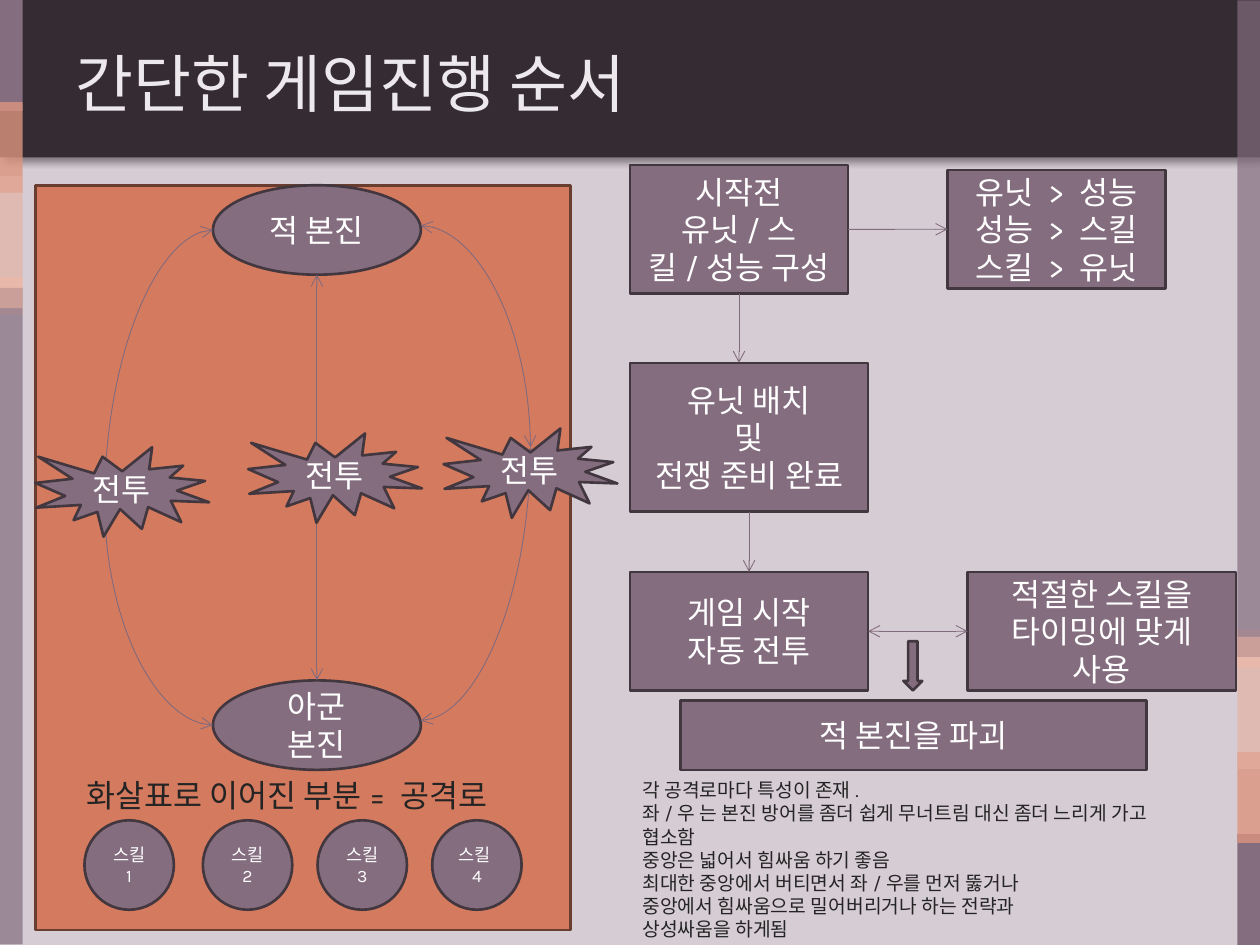
from dataclasses import dataclass

from lxml.etree import SubElement
from pptx import Presentation
from pptx.dml.color import RGBColor
from pptx.enum.shapes import MSO_CONNECTOR, MSO_SHAPE
from pptx.enum.text import MSO_ANCHOR, MSO_AUTO_SIZE, PP_ALIGN
from pptx.oxml.ns import qn
from pptx.util import Inches, Pt


@dataclass(frozen=True)
class Theme:
    ground: str = "D6CCD4"
    band: str = "352B33"
    title: str = "ECE8EC"
    node: str = "846D7F"
    node_edge: str = "42363F"
    board: str = "D47A5E"
    board_edge: str = "693D2F"
    route: str = "826A7D"
    light: str = "FFFFFF"
    ink: str = "242424"
    heading_font: str = "Arial"
    body_font: str = "Karla"
    heading_size: int = 36
    body_size: int = 18
    note_size: int = 11
    skill_size: int = 10


THEME = Theme()


@dataclass(frozen=True)
class Box:
    """An area in inches, divided in percent of its size."""
    left: float
    top: float
    width: float
    height: float

    def point(self, x, y):
        return self.left + self.width * x / 100, self.top + self.height * y / 100

    def share(self, x, y, width, height):
        return Box(*self.point(x, y), self.width * width / 100, self.height * height / 100)

    def emu(self):
        return [Inches(v) for v in (self.left, self.top, self.width, self.height)]


def apply(target, values):
    for name, value in values.items():
        setattr(target, name, value)


def write(holder, lines, size=THEME.body_size, color=THEME.light, font=THEME.body_font,
          align=PP_ALIGN.CENTER, **frame_format):
    frame = holder.text_frame
    apply(frame, {"word_wrap": True, "vertical_anchor": MSO_ANCHOR.MIDDLE, **frame_format})
    frame.text = "\n".join(lines)
    for paragraph in frame.paragraphs:
        paragraph.alignment = align
        apply(paragraph.runs[0].font, {"size": Pt(size), "name": font})
        paragraph.runs[0].font.color.rgb = RGBColor.from_string(color)


def block(slide, box, kind=MSO_SHAPE.RECTANGLE, lines=(), fill=THEME.node,
          edge=THEME.node_edge, size=THEME.body_size, alpha=100):
    shape = slide.shapes.add_shape(kind, *box.emu())
    shape.shadow.inherit = False
    shape.fill.solid()
    shape.fill.fore_color.rgb = RGBColor.from_string(fill)
    if alpha < 100:
        tint = shape._element.spPr.find(qn("a:solidFill"))[0]
        SubElement(tint, qn("a:alpha"), val=str(alpha * 1000))
    if edge:
        shape.line.color.rgb = RGBColor.from_string(edge)
        shape.line.width = Pt(1.5)
    else:
        shape.line.fill.background()
    if lines:
        write(shape, lines, size)
    return shape


def note(slide, box, lines, size):
    text = slide.shapes.add_textbox(*box.emu())
    write(text, lines, size, THEME.ink, align=PP_ALIGN.LEFT,
          vertical_anchor=MSO_ANCHOR.TOP, auto_size=MSO_AUTO_SIZE.SHAPE_TO_FIT_TEXT)


def arrow(slide, start, end, both=False, curved=False):
    kind = MSO_CONNECTOR.CURVE if curved else MSO_CONNECTOR.STRAIGHT
    route = slide.shapes.add_connector(kind, *[Inches(v) for v in (*start, *end)])
    route.line.color.rgb = RGBColor.from_string(THEME.route)
    route.line.width = Pt(0.5)
    properties = route._element.spPr
    if curved:
        properties.find(qn("a:prstGeom")).set("prst", "curvedConnector2")
    line = properties.find(qn("a:ln"))
    for tip in ("a:headEnd", "a:tailEnd") if both else ("a:tailEnd",):
        SubElement(line, qn(tip), type="arrow")
    SubElement(properties, qn("a:effectLst"))


def header(slide, box):
    band = block(slide, box, fill=THEME.band, edge=None)
    effects = band._element.spPr.find(qn("a:effectLst"))
    shadow = SubElement(effects, qn("a:outerShdw"), blurRad=str(Pt(4)), dist=str(Pt(3)),
                        dir="2700000", algn="tl", rotWithShape="0")
    shade = SubElement(shadow, qn("a:srgbClr"), val="000000")
    SubElement(shade, qn("a:alpha"), val="40000")

    title = slide.shapes.title
    apply(title, dict(zip(("left", "top", "width", "height"), box.share(5, 16.8, 90, 70.4).emu())))
    write(title, ["간단한 게임진행 순서"], THEME.heading_size, THEME.title,
          THEME.heading_font, PP_ALIGN.LEFT)
    slide.shapes._spTree.append(title._element)  # bring the title above the band


def side_strip(slide, box, upward=False):
    # top, height, colour, opacity
    stripes = [(29.33, 4, "EECABF", 100), (30.47, 69.47, THEME.node, 70),
               (0, 11.73, THEME.node, 100), (10.8, 9.6, "DC947E", 80),
               (18.6, 14, "E5AF9E", 60)]
    for top, height, color, alpha in stripes:
        start = 100 - top - height if upward else top
        block(slide, box.share(0, start, 100, height), fill=color, edge=None, alpha=alpha)


def game_flow(slide, box):
    steps = {
        "setup": ((0, 0, 35.97, 21.25), ["시작전", "유닛/스킬/성능 구성"]),
        "tuning": ((52.39, 0.83, 35.97, 19.58), ["유닛 > 성능", "성능 > 스킬", "스킬 > 유닛"]),
        "deploy": ((0, 32.71, 39.29, 24.58), ["유닛 배치", "및", "전쟁 준비 완료"]),
        "battle": ((0, 67.29, 39.29, 19.58), ["게임 시작", "자동 전투"]),
        "timing": ((55.72, 67.29, 44.28, 19.58), ["적절한 스킬을", "타이밍에 맞게", "사용"]),
        "goal": ((8.32, 88.54, 76.92, 11.46), ["적 본진을 파괴"]),
    }
    area = {name: box.share(*place) for name, (place, _) in steps.items()}
    for name, (_, lines) in steps.items():
        block(slide, area[name], lines=lines)

    # Downward steps, then sideways links
    for upper, lower in (("setup", "deploy"), ("deploy", "battle")):
        x, y = area[upper].point(50, 100)
        arrow(slide, (x, y), (x, area[lower].top))
    for left, right, both in (("setup", "tuning", False), ("battle", "timing", True)):
        arrow(slide, area[left].point(100, 50), area[right].point(0, 50), both)
    block(slide, box.share(45.11, 78.75, 3.12, 8.12), MSO_SHAPE.DOWN_ARROW)


def battle_map(slide, box):
    block(slide, box, fill=THEME.board, edge=THEME.board_edge)

    # Bases
    enemy, own = [box.share(33.18, top, 38.82, 12.01) for top in (0, 66.5)]
    for base, label in ((enemy, "적 본진"), (own, "아군 본진")):
        block(slide, base, MSO_SHAPE.OVAL, [label])

    # Attack routes: two bent ones and the straight centre
    for side, offset, meeting in ((0, 50, (12.94, 42.64)), (100, 45, (92.47, 35.19))):
        for base in (enemy, own):
            arrow(slide, base.point(side, offset), box.point(*meeting), True, True)
    arrow(slide, enemy.point(50, 100), own.point(50, 0), True)

    # Clashes
    for x, y in ((39.76, 33.33), (0, 35.19), (76.24, 32.66)):
        block(slide, box.share(x, y, 32.47, 12.01), MSO_SHAPE.EXPLOSION1, ["전투"])

    # Legend and skill buttons
    note(slide, box.share(7.29, 78.51, 88.94, 6.77), ["화살표로 이어진 부분= 공격로"], THEME.body_size)
    skills = {"스킬 1": 9.18, "스킬 2": 31.29, "스킬 3": 52.71, "스킬4": 74.12}
    for label, x in skills.items():
        block(slide, box.share(x, 85.28, 16.7, 12.01), MSO_SHAPE.OVAL, [label],
              size=THEME.skill_size)


def route_notes(slide, box):
    note(slide, box, [
        "각 공격로마다 특성이 존재.",
        "좌/우 는 본진 방어를 좀더 쉽게 무너트림 대신 좀더 느리게 가고 협소함",
        "중앙은 넓어서 힘싸움 하기 좋음",
        "최대한 중앙에서 버티면서 좌/우를 먼저 뚫거나",
        "중앙에서 힘싸움으로 밀어버리거나 하는 전략과",
        "상성싸움을 하게됨",
    ], THEME.note_size)


def main():
    page = Box(0, 0, 10, 7.5)
    deck = Presentation()
    apply(deck, {"slide_width": Inches(page.width), "slide_height": Inches(page.height)})
    slide = deck.slides.add_slide(deck.slide_layouts[5])
    slide.background.fill.solid()
    slide.background.fill.fore_color.rgb = RGBColor.from_string(THEME.ground)

    header(slide, page.share(0, 0, 100, 16.67))
    side_strip(slide, page.share(98.2, 0, 1.8, 100), upward=True)
    side_strip(slide, page.share(0, 0, 1.8, 100))
    game_flow(slide, page.share(50, 17.47, 48.1, 64))
    battle_map(slide, page.share(2.8, 19.6, 42.5, 78.8))
    route_notes(slide, page.share(50, 81.73, 45, 18.27))
    deck.save("out.pptx")


main()
